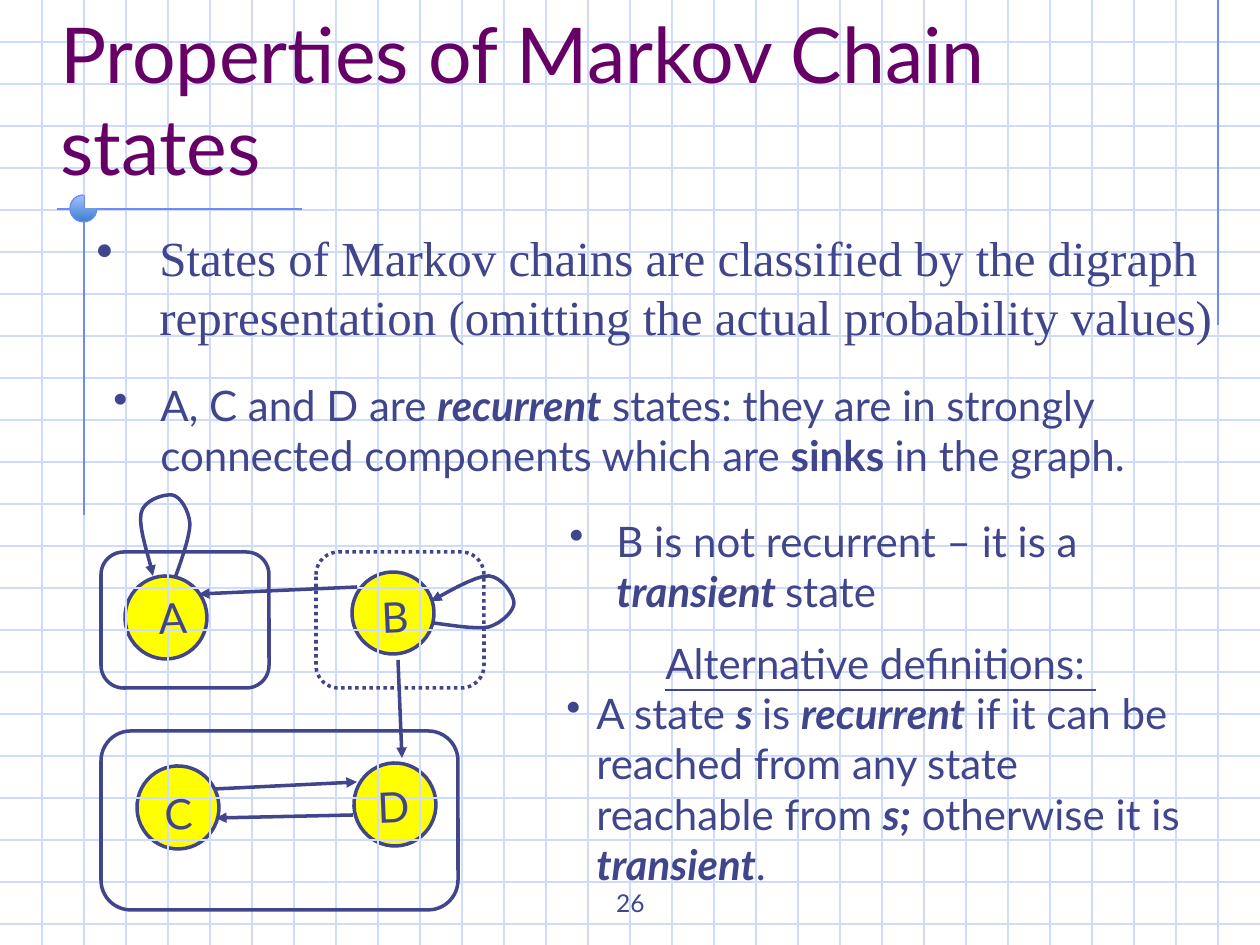
from pptx import Presentation
from pptx.dml.color import RGBColor
from pptx.enum.dml import MSO_LINE
from pptx.enum.shapes import MSO_CONNECTOR, MSO_SHAPE
from pptx.enum.text import MSO_ANCHOR, PP_ALIGN
from pptx.oxml.ns import qn
from pptx.util import Pt
from lxml.etree import SubElement

SCALE = 914400 / 126
TILT = 357.5
COLORS = {name: RGBColor.from_string(code) for name, code in {
    "grid": "CFDBFD", "rule": "6F89F7", "ink": "40458C",
    "title": "660066", "state": "FFFF00"}.items()}


def px(*lengths):
    return [round(n * SCALE) for n in lengths]


def write(text, box=None, frame=None, size=24, font="Lato", color="ink", wrap=True,
          turn=0, anchor=MSO_ANCHOR.TOP, align=PP_ALIGN.LEFT, hang=0):
    """Write one paragraph of (words, style) runs; b, i and u are the styles."""
    if frame is None:
        shape = slide.shapes.add_textbox(*px(*box))
        shape.rotation = turn
        frame = shape.text_frame
        frame.word_wrap = wrap
        frame.vertical_anchor = anchor
        para = frame.paragraphs[0]
    else:
        para = frame.add_paragraph()
    para.alignment = align
    if hang:
        props = para._p.get_or_add_pPr()
        props.set("marL", str(px(hang)[0]))
        props.set("indent", str(-px(hang)[0]))
        SubElement(props, qn("a:buChar")).set("char", "•")
    for words, style in [(text, "")] if isinstance(text, str) else text:
        run = para.add_run()
        run.text = words
        run.font.size = Pt(size)
        run.font.name = font
        run.font.color.rgb = COLORS[color]
        run.font.bold = "b" in style
        run.font.italic = "i" in style
        run.font.underline = "u" in style
    return frame


deck = Presentation()
deck.slide_width, deck.slide_height = px(1260, 945)
slide = deck.slides.add_slide(deck.slide_layouts[6])
shapes = slide.shapes

# Background grid, then the accent rules, then the arrows between states
lines = [((0, y, 1260, y), "grid", 0.75, False) for y in range(42, 945, 42)]
lines += [((x, 0, x, 945), "grid", 0.75, False) for x in range(42, 1260, 42)]
lines += [(ends, "rule", 0.75, False) for ends in (
    (1218, 0, 1218, 325), (302, 209, 57, 209), (84, 195, 84, 515))]
lines += [(ends, "ink", 2, True) for ends in (
    (353, 815, 216, 818), (214, 789, 357, 782),
    (398, 660, 402, 758), (357, 587, 199, 594))]

# State circles
for box in ((125, 576, 82, 83), (352, 572, 82, 82),
            (137, 766, 82, 83), (354, 763, 82, 83)):
    disc = shapes.add_shape(MSO_SHAPE.OVAL, *px(*box))
    disc.shadow.inherit = False
    disc.rotation = TILT
    disc.fill.solid()
    disc.fill.fore_color.rgb = COLORS["state"]
    disc.line.color.rgb = COLORS["ink"]
    disc.line.width = Pt(2)

for ends, color, width, arrow in lines:
    line = shapes.add_connector(MSO_CONNECTOR.STRAIGHT, *px(*ends))
    line.line.color.rgb = COLORS[color]
    line.line.width = Pt(width)
    if arrow:
        SubElement(line.line._get_or_add_ln(), qn("a:tailEnd")).set("type", "triangle")
    SubElement(line._element.spPr, qn("a:effectLst"))

# Open ring where the accent rules cross
ring = shapes.add_shape(MSO_SHAPE.ARC, *px(70, 195, 27, 27))
ring.shadow.inherit = False
ring.adjustments[0] = 0
ring.adjustments[1] = 162  # 270 degrees
ring.line.color.rgb = COLORS["rule"]
ring.line.width = Pt(0.75)

# Self loops: a start, then Bezier curves of three points each
loops = (
    ((175, 578), ((178, 570), (190, 538), (190, 524)),
     ((189, 510), (180, 496), (172, 495)), ((164, 494), (143, 500), (141, 514)),
     ((138, 528), (151, 563), (153, 576))),
    ((433, 623), ((443, 624), (476, 630), (489, 627)),
     ((502, 623), (514, 611), (514, 603)), ((514, 595), (502, 577), (489, 576)),
     ((475, 575), (442, 596), (431, 601))),
)
STEPS = 8
for start, *curves in loops:
    dots = [start]
    for curve in curves:
        knots = (dots[-1], *curve)
        for step in range(1, STEPS + 1):
            t = step / STEPS
            parts = ((1 - t) ** 3, 3 * t * (1 - t) ** 2, 3 * t * t * (1 - t), t ** 3)
            dots.append(tuple(sum(w * k[axis] for w, k in zip(parts, knots))
                              for axis in (0, 1)))
    pen = shapes.build_freeform(*px(*start))
    pen.add_line_segments([px(*dot) for dot in dots[1:]], close=False)
    loop = pen.convert_to_shape()
    loop.shadow.inherit = False
    loop.fill.background()
    loop.line.color.rgb = COLORS["ink"]
    loop.line.width = Pt(2)
    SubElement(loop.line._get_or_add_ln(), qn("a:tailEnd")).set("type", "triangle")

# State labels
for name, box in (("A", (146, 586, 52, 63)), ("B", (369, 585, 52, 63)),
                  ("C", (152, 782, 52, 63)), ("D", (365, 775, 55, 63))):
    write(name, box, wrap=False, turn=TILT)

# Component frames; the transient one is dotted
for box, dotted in (((101, 731, 357, 179), False), ((101, 552, 168, 136), False),
                    ((316, 552, 168, 136), True)):
    group = shapes.add_shape(MSO_SHAPE.ROUNDED_RECTANGLE, *px(*box))
    group.shadow.inherit = False
    group.fill.background()
    group.line.color.rgb = COLORS["ink"]
    group.line.width = Pt(2)
    if dotted:
        group.line.dash_style = MSO_LINE.ROUND_DOT

# Title, body and slide number
write("Properties of Markov Chain states", (48, 39, 1159, 158), size=44,
      color="title", anchor=MSO_ANCHOR.BOTTOM)
write("States of Markov chains are classified by the digraph representation "
      "(omitting the actual probability values)", (84, 221, 1144, 131),
      size=28, font="Times New Roman", hang=63)
write([("A, C and D are ", ""), ("recurrent", "bi"),
       (" states: they are in strongly connected components which are ", ""),
       ("sinks ", "b"), ("in the graph.", "")], (101, 373, 1128, 113), hang=47)
write([("B is not recurrent – it is a ", ""), ("transient ", "bi"), ("state", "")],
      (557, 509, 619, 113), hang=47)
notes = write([("Alternative definitions: ", "u")], (554, 631, 653, 265),
              align=PP_ALIGN.CENTER)
write([("A state ", ""), ("s ", "bi"), ("is ", ""), ("recurrent", "bi"),
       (" if it can be reached from any state reachable from ", ""), ("s;", "bi"),
       (" otherwise it is ", ""), ("transient", "bi"), (".", "")],
      frame=notes, hang=30)
write("26", (431, 861, 399, 63), size=14, anchor=MSO_ANCHOR.BOTTOM,
      align=PP_ALIGN.CENTER)

deck.save("out.pptx")
